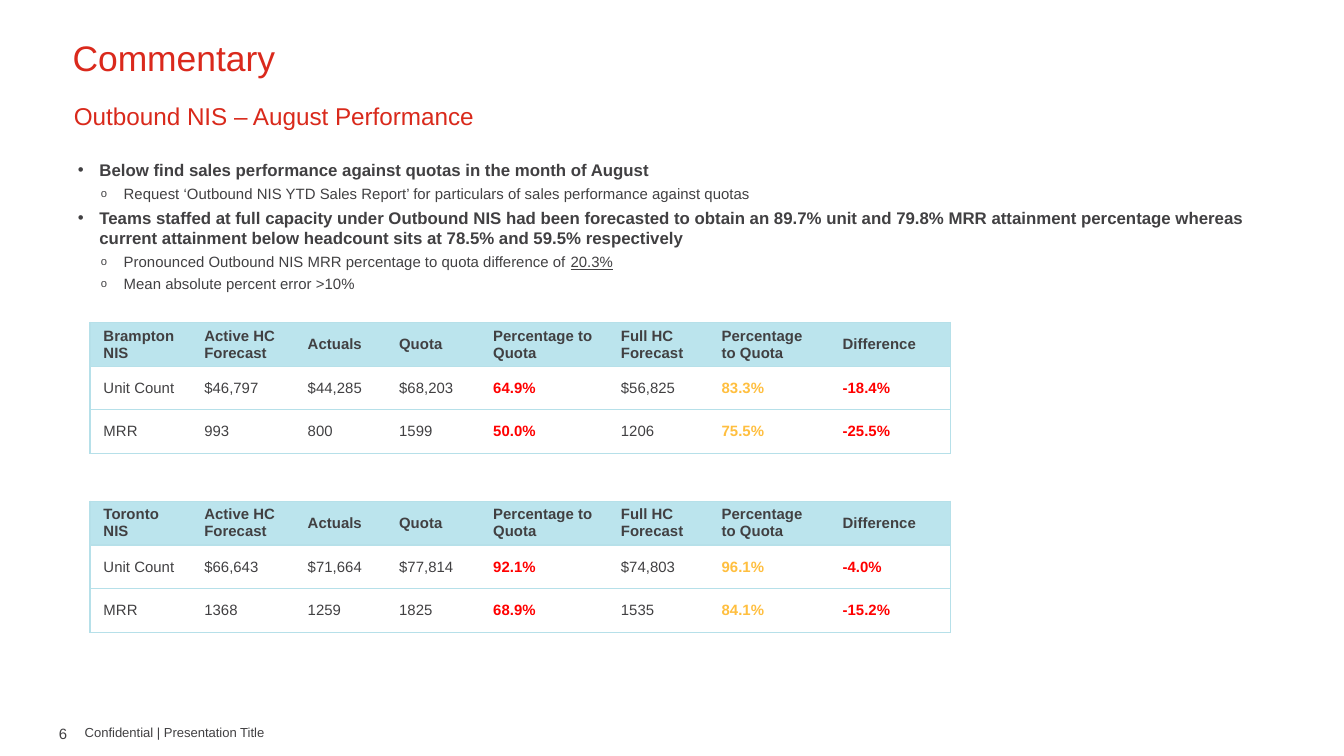
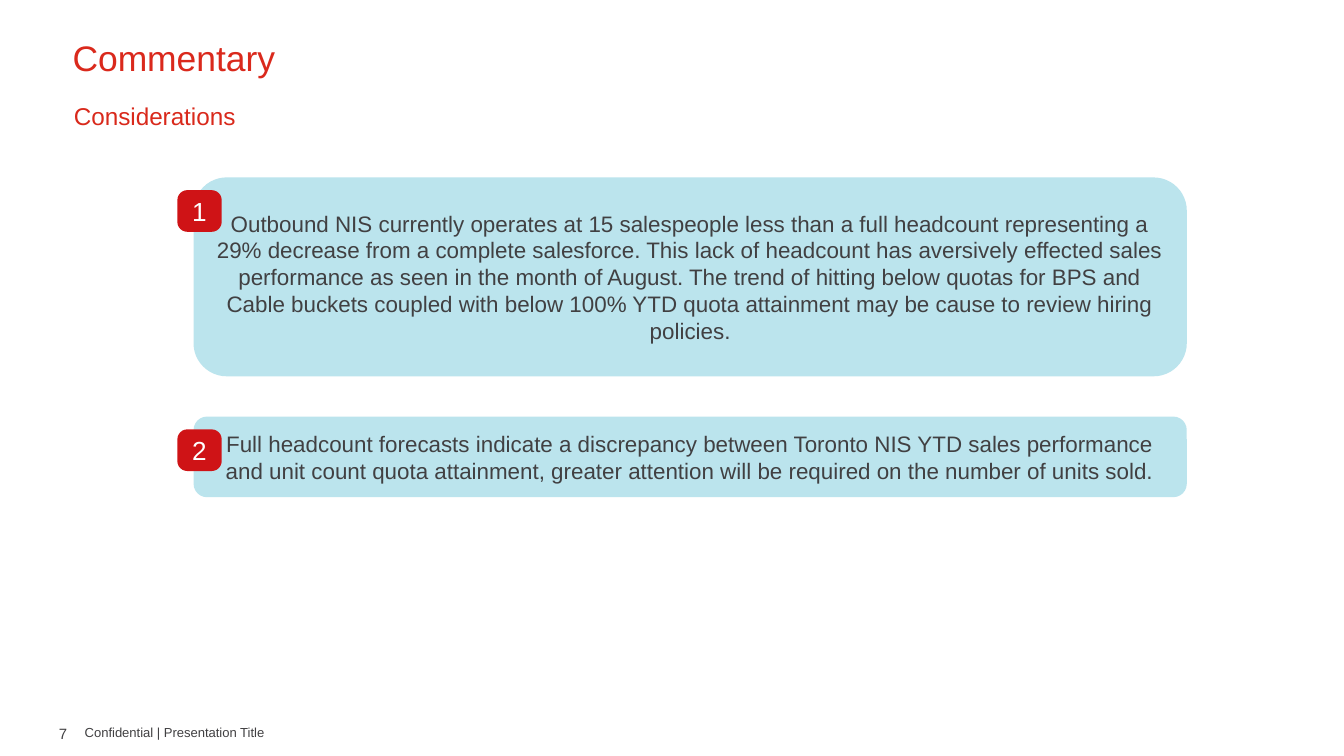
from pptx import Presentation
from pptx.dml.color import RGBColor
from pptx.enum.shapes import MSO_SHAPE
from pptx.enum.text import MSO_ANCHOR, MSO_AUTO_SIZE, PP_ALIGN
from pptx.oxml import parse_xml
from pptx.oxml.ns import nsdecls, qn
from pptx.util import Inches, Pt

RED = RGBColor(0xDA, 0x29, 0x1C)
CRIMSON = RGBColor(0xD9, 0x29, 0x1B)
BADGE = RGBColor(0xCF, 0x13, 0x16)
ALERT = RGBColor(0xFF, 0x00, 0x00)
AMBER = RGBColor(0xFF, 0xBF, 0x3F)
GREY = RGBColor(0x41, 0x40, 0x42)
WHITE = RGBColor(0xFF, 0xFF, 0xFF)
AQUA = RGBColor(0xBB, 0xE4, 0xED)
RULE = RGBColor(0xB6, 0xE0, 0xE9)

UNIT = Inches(0.1)
NO_STYLE = "{2D5ABB26-0587-4C30-8999-92F81FD0307C}"
WIDTHS = [7.5, 7.7, 6.8, 7, 9.5, 7.5, 9, 9]
HEADS = ["Active HC Forecast", "Actuals", "Quota", "Percentage to Quota",
         "Full HC Forecast", "Percentage to Quota", "Difference"]
TINTS = {4: ALERT, 6: AMBER, 7: ALERT}
LEVELS = [
    {"mark": "•", "scale": 100, "left": 0.16, "hang": 0.16, "size": 9, "bold": True},
    {"mark": "o", "scale": 75, "left": 0.34, "hang": 0.17, "size": 8, "bold": False},
]
POINTS = [
    (0, ["Below find sales performance against quotas in the month of August"]),
    (1, ["Request ‘Outbound NIS YTD Sales Report’ for particulars of sales "
         "performance against quotas"]),
    (0, ["Teams staffed at full capacity under Outbound NIS had been forecasted to "
         "obtain an 89.7% unit and 79.8% MRR attainment percentage whereas current "
         "attainment below headcount sits at 78.5% and 59.5% respectively"]),
    (1, ["Pronounced Outbound NIS MRR percentage to quota difference of ", "20.3%"]),
    (1, ["Mean absolute percent error >10%"]),
]
TEAMS = [
    ("Brampton NIS", 24, [
        ["Unit Count", "$46,797", "$44,285", "$68,203", "64.9%", "$56,825", "83.3%", "-18.4%"],
        ["MRR", "993", "800", "1599", "50.0%", "1206", "75.5%", "-25.5%"]]),
    ("Toronto NIS", 37.3, [
        ["Unit Count", "$66,643", "$71,664", "$77,814", "92.1%", "$74,803", "96.1%", "-4.0%"],
        ["MRR", "1368", "1259", "1825", "68.9%", "1535", "84.1%", "-15.2%"]]),
]
NOTES = [
    (13.2, 14.8, "Outbound NIS currently operates at 15 salespeople less than a full "
     "headcount representing a 29% decrease from a complete salesforce. This lack of "
     "headcount has aversively effected sales performance as seen in the month of August. "
     "The trend of hitting below quotas for BPS and Cable buckets coupled with below 100% "
     "YTD quota attainment may be cause to review hiring policies."),
    (31, 6, "Full headcount forecasts indicate a discrepancy between Toronto NIS YTD sales "
     "performance and unit count quota attainment, greater attention will be required on "
     "the number of units sold."),
]


def span(*cells):
    """Turn grid counts into lengths."""
    return [round(UNIT * cell) for cell in cells]


def place(shape, *cells):
    """Set a shape's left, top, width and height on the grid."""
    for name, value in zip(("left", "top", "width", "height"), span(*cells)):
        setattr(shape, name, value)


def ink(para, text, size, color=GREY, **extra):
    """Add a run in the deck's font."""
    run = para.add_run()
    run.text = text
    for name, value in {"name": "Arial", "size": Pt(size), **extra}.items():
        setattr(run.font, name, value)
    run.font.color.rgb = color


def frame(shape, side=0.08, edge=0.04, anchor=MSO_ANCHOR.MIDDLE):
    """Prepare a text frame and return it."""
    body = shape.text_frame
    looks = {"word_wrap": True, "auto_size": MSO_AUTO_SIZE.NONE,
             "vertical_anchor": anchor,
             "margin_left": Inches(side), "margin_right": Inches(side),
             "margin_top": Inches(edge), "margin_bottom": Inches(edge)}
    for name, value in looks.items():
        setattr(body, name, value)
    return body


def label(shape, text, size, color=GREY, align=PP_ALIGN.LEFT, **looks):
    """Fill a shape with a single paragraph."""
    para = frame(shape, **looks).paragraphs[0]
    para.alignment = align
    ink(para, text, size, color)
    return para


def indent(para, left, hang, *marks):
    """Set a paragraph's indents and bullet elements."""
    props = para._p.get_or_add_pPr()
    props.set("marL", str(Inches(left)))
    props.set("indent", str(-Inches(hang)))
    for mark in marks:
        props.append(parse_xml(mark))


def start(deck, layout, topic, number):
    """Add a slide with its title, topic and footer."""
    slide = deck.slides.add_slide(deck.slide_layouts[layout])
    title, head = slide.shapes.title, slide.placeholders[1]
    place(title, 4.6, 2.3, 94.5, 3.9)
    label(title, "Commentary", 19, RED)
    place(head, 4.6, 7.1, 94.5, 3.2)
    para = label(head, topic, 13, CRIMSON, side=0.09, anchor=MSO_ANCHOR.TOP)
    para.space_before = Pt(2.5)
    indent(para, 0, 0, f"<a:buNone {nsdecls('a')}/>")
    feet = [(1.8, 53.1, 5.8, str(number), 8, PP_ALIGN.CENTER),
            (5.4, 53, 56.2, "Confidential | Presentation Title", 7, PP_ALIGN.LEFT)]
    for left, top, width, text, size, align in feet:
        box = slide.shapes.add_textbox(*span(left, top, width, 3))
        label(box, text, size, align=align, side=0.09)
    return slide


def listing(shape):
    """Write the two-level bullet list."""
    place(shape, 5, 11.5, 89.3, 12.5)
    body = frame(shape, anchor=MSO_ANCHOR.TOP)
    for index, (depth, parts) in enumerate(POINTS):
        para = body.add_paragraph() if index else body.paragraphs[0]
        look = LEVELS[depth]
        para.level = depth
        para.space_before = Pt(2.5)
        space = nsdecls("a")
        indent(para, look["left"], look["hang"],
               f'<a:buClr {space}><a:srgbClr val="{GREY}"/></a:buClr>',
               f'<a:buSzPct {space} val="{look["scale"] * 1000}"/>',
               f'<a:buFont {space} typeface="Arial"/>',
               f'<a:buChar {space} char="{look["mark"]}"/>')
        for order, part in enumerate(parts):
            ink(para, part, look["size"], bold=look["bold"], underline=order > 0)


def edges(cell, sides):
    """Rule the named sides of a cell."""
    props = cell._tc.get_or_add_tcPr()
    for side in sides:
        props.append(parse_xml(
            f'<a:ln{side} {nsdecls("a")} w="{Pt(0.75)}"><a:solidFill>'
            f'<a:srgbClr val="{RULE}"/></a:solidFill></a:ln{side}>'))


def grid(slide, team, top, rows):
    """Add one team's results table."""
    data = [[team, *HEADS], *rows]
    last = len(WIDTHS) - 1
    holder = slide.shapes.add_table(
        len(data), len(WIDTHS), *span(6.7, top, sum(WIDTHS), 9.75))
    table = holder.table
    table._tbl.tblPr.find(qn("a:tableStyleId")).text = NO_STYLE
    table.horz_banding = False
    for column, width in zip(table.columns, WIDTHS):
        column.width = round(UNIT * width)
    for row, texts in enumerate(data):
        for col, text in enumerate(texts):
            cell = table.cell(row, col)
            looks = {"vertical_anchor": MSO_ANCHOR.MIDDLE,
                     "margin_left": Inches(0.1), "margin_right": Inches(0.1),
                     "margin_top": Inches(0.03), "margin_bottom": Inches(0.03)}
            for name, value in looks.items():
                setattr(cell, name, value)
            edges(cell, "L" * (col == 0) + "R" * (col == last) + "TB")
            if row:
                cell.fill.background()
            else:
                cell.fill.solid()
                cell.fill.fore_color.rgb = AQUA
            tint = TINTS.get(col, GREY) if row else GREY
            ink(cell.text_frame.paragraphs[0], text, 8, tint,
                bold=not row or col in TINTS)


def panel(slide, cells, text, size, fill, color, inset):
    """Add a rounded panel with centred text."""
    shape = slide.shapes.add_shape(MSO_SHAPE.ROUNDED_RECTANGLE, *span(*cells))
    shape.shadow.inherit = False
    shape.fill.solid()
    shape.fill.fore_color.rgb = fill
    shape.line.fill.background()
    label(shape, text, size, color, PP_ALIGN.CENTER, side=inset, edge=inset)
    return shape


def main():
    """Build and save the deck."""
    deck = Presentation()
    deck.slide_width, deck.slide_height = span(100, 56.25)

    sales = start(deck, 3, "Outbound NIS – August Performance", 6)
    listing(sales.placeholders[2])
    for team in TEAMS:
        grid(sales, *team)

    views = start(deck, 1, "Considerations", 7)
    for top, height, text in NOTES:
        panel(views, (14.4, top, 73.9, height), text, 12, AQUA, GREY, 0.08)
    for number, (top, *_) in enumerate(NOTES, 1):
        badge = panel(views, (13.2, top + 0.95, 3.3, 3.1), str(number), 14, BADGE, WHITE, 0)
        badge.adjustments[0] = 0.24

    deck.save("out.pptx")


if __name__ == "__main__":
    main()
